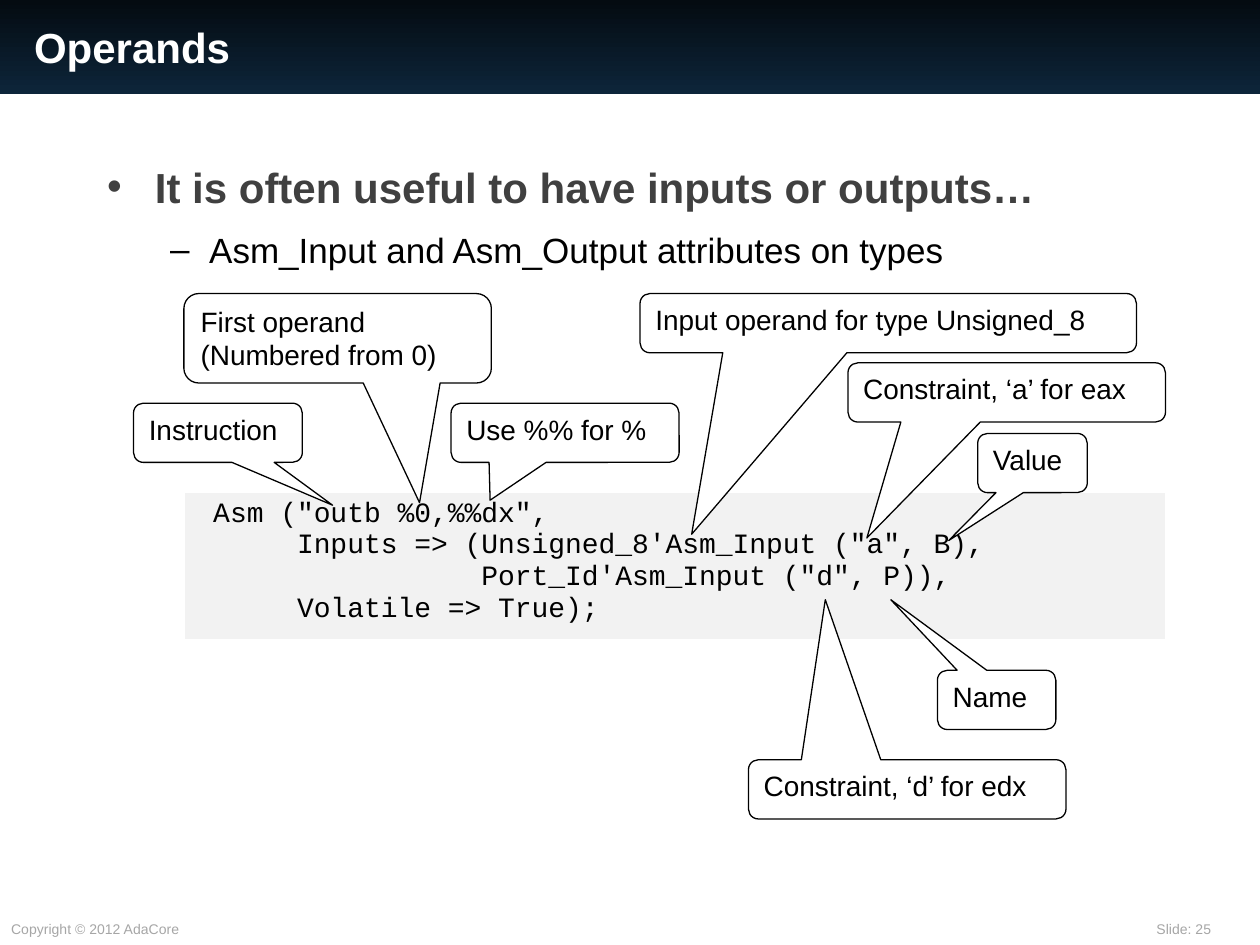
from lxml.etree import SubElement
from pptx import Presentation
from pptx.dml.color import RGBColor
from pptx.enum.shapes import MSO_SHAPE
from pptx.enum.text import MSO_ANCHOR, MSO_AUTO_SIZE, PP_ALIGN
from pptx.oxml import parse_xml
from pptx.oxml.ns import nsdecls, qn
from pptx.util import Inches, Pt

SLIDE_WIDTH, SLIDE_HEIGHT = Inches(10), Inches(7.5)
COLUMN, ROW = SLIDE_WIDTH / 100, SLIDE_HEIGHT / 75

BLACK = RGBColor(0x00, 0x00, 0x00)
WHITE = RGBColor(0xFF, 0xFF, 0xFF)
HEADING_GRAY = RGBColor(0x40, 0x40, 0x40)
FOOTER_GRAY = RGBColor(0xA6, 0xA6, 0xA6)
CODE_GRAY = RGBColor(0xF2, 0xF2, 0xF2)
BAND_TOP = RGBColor(0x04, 0x0B, 0x11)
BAND_BOTTOM = RGBColor(0x0D, 0x25, 0x3A)

BULLETS = [
    ("It is often useful to have inputs or outputs…", 0, "•", 0.38, 0.38, 24, HEADING_GRAY, 0),
    ("Asm_Input and Asm_Output attributes on types", 1, "–", 0.81, 0.31, 20, BLACK, 5),
]
CODE_LINES = [
    ' Asm ("outb %0,%%dx",',
    "      Inputs => (Unsigned_8'Asm_Input (\"a\", B),",
    "                 Port_Id'Asm_Input (\"d\", P)),",
    "      Volatile => True);",
]
CALLOUTS = [
    (["Instruction"], (10.6, 32, 13.4, 4.7), (26.4, 40.1)),
    (["First operand", "(Numbered from 0)"], (14.6, 23.3, 24.4, 7.1), (33.3, 39.9)),
    (["Use %% for %"], (35.8, 32, 18.1, 4.7), (38.9, 39.7)),
    (["Input operand for type Unsigned_8"], (50.8, 23.3, 39.4, 4.7), (54.9, 42.4)),
    (["Constraint, ‘a’ for eax"], (67.3, 28.8, 25.2, 4.7), (68.8, 42.7)),
    (["Value"], (77.6, 34.4, 8.7, 4.7), (75.3, 42.9)),
    (["Constraint, ‘d’ for edx"], (59.4, 60.3, 25.2, 4.7), (65.5, 47.6)),
    (["Name"], (74.4, 53.2, 9.4, 4.7), (70.7, 47.6)),
]


def to_lengths(box):
    left, top, width, height = box
    return round(left * COLUMN), round(top * ROW), round(width * COLUMN), round(height * ROW)


def place(shape, box):
    shape.left, shape.top, shape.width, shape.height = to_lengths(box)


def add_text(paragraph, text, size, color, bold=False, name="Arial"):
    paragraph.alignment = PP_ALIGN.LEFT
    run = paragraph.add_run()
    run.text = text
    run.font.name = name
    run.font.size = Pt(size)
    run.font.bold = bold
    run.font.color.rgb = color


def write_lines(frame, lines, size, color, name="Arial"):
    for index, line in enumerate(lines):
        paragraph = frame.add_paragraph() if index else frame.paragraphs[0]
        add_text(paragraph, line, size, color, name=name)


def build_header(slide, box):
    left, top, width, height = box
    band = slide.shapes.add_shape(MSO_SHAPE.RECTANGLE, *to_lengths(box))
    band.shadow.inherit = False
    band.line.fill.background()
    band.fill.gradient()
    band.fill.gradient_angle = 270
    for stop, position, color in zip(band.fill.gradient_stops, (0, 1), (BAND_TOP, BAND_BOTTOM)):
        stop.position = position
        stop.color.rgb = color
    slide.shapes._spTree.insert(2, band._element)

    title = slide.shapes.title
    place(title, (left + 1.8, top + 0.8, width * 0.87, height - 1.7))
    title.text_frame.vertical_anchor = MSO_ANCHOR.MIDDLE
    title.text_frame.auto_size = MSO_AUTO_SIZE.NONE
    add_text(title.text_frame.paragraphs[0], "Operands", 24, WHITE, bold=True)


def set_bullet(paragraph, symbol, margin, hanging, color):
    properties = paragraph._p.get_or_add_pPr()
    properties.set("marL", str(Inches(margin)))
    properties.set("indent", str(-Inches(hanging)))
    bullet_color = SubElement(properties, qn("a:buClr"))
    SubElement(bullet_color, qn("a:srgbClr"), val=str(color))
    SubElement(properties, qn("a:buFont"), typeface="Arial")
    SubElement(properties, qn("a:buChar"), char=symbol)


def build_body(slide, box):
    body = slide.placeholders[1]
    place(body, box)
    frame = body.text_frame
    frame.auto_size = MSO_AUTO_SIZE.NONE
    for index, (text, level, symbol, margin, hanging, size, color, space) in enumerate(BULLETS):
        paragraph = frame.add_paragraph() if index else frame.paragraphs[0]
        paragraph.level = level
        set_bullet(paragraph, symbol, margin, hanging, color)
        paragraph.line_spacing = 1.2
        paragraph.space_before = Pt(space)
        add_text(paragraph, text, size, color, bold=level == 0)


def set_borders(cell):
    properties = cell._tc.get_or_add_tcPr()
    for index, (side, points) in enumerate([("L", 0.45), ("R", 0.45), ("T", 0.45), ("B", 1.47)]):
        properties.insert(index, parse_xml(
            f'<a:ln{side} {nsdecls("a")} w="{Pt(points)}"><a:solidFill>'
            f'<a:srgbClr val="{WHITE}"/></a:solidFill></a:ln{side}>'))


def build_code(slide, box):
    table = slide.shapes.add_table(1, 1, *to_lengths(box)).table
    table.first_row = False
    table.horz_banding = False
    cell = table.cell(0, 0)
    cell.fill.solid()
    cell.fill.fore_color.rgb = CODE_GRAY
    set_borders(cell)
    write_lines(cell.text_frame, CODE_LINES, 16, BLACK, "Courier New")


def build_callout(slide, lines, box, tip):
    left, top, width, height = box
    callout = slide.shapes.add_shape(MSO_SHAPE.ROUNDED_RECTANGULAR_CALLOUT, *to_lengths(box))
    callout.adjustments[0] = (tip[0] - left) / width - 0.5
    callout.adjustments[1] = (tip[1] - top) / height - 0.5
    callout.shadow.inherit = False
    callout.fill.solid()
    callout.fill.fore_color.rgb = WHITE
    callout.line.color.rgb = BLACK
    callout.line.width = Pt(0.75)
    callout.text_frame.word_wrap = True
    callout.text_frame.vertical_anchor = MSO_ANCHOR.TOP
    write_lines(callout.text_frame, lines, 16, BLACK)


def build_footer(slide, box):
    left, top, width, height = box
    number_width = 9.1
    parts = [
        ("Copyright © 2012 AdaCore", left, 15.7, False),
        ("Slide: 25", left + width - number_width, number_width, True),
    ]
    for text, part_left, part_width, wrap in parts:
        shape = slide.shapes.add_textbox(*to_lengths((part_left, top, part_width, height)))
        shape.text_frame.word_wrap = wrap
        add_text(shape.text_frame.paragraphs[0], text, 8, FOOTER_GRAY)


def main():
    presentation = Presentation()
    presentation.slide_width, presentation.slide_height = SLIDE_WIDTH, SLIDE_HEIGHT
    slide = presentation.slides.add_slide(presentation.slide_layouts[1])
    build_header(slide, (-0.1, 0, 100.1, 7.5))
    build_body(slide, (7.5, 11.5, 85.8, 58.3))
    build_code(slide, (14.6, 39.1, 77.9, 11.7))
    for lines, box, tip in CALLOUTS:
        build_callout(slide, lines, box, tip)
    build_footer(slide, (-0.1, 72.6, 100, 2.4))
    presentation.save("out.pptx")


if __name__ == "__main__":
    main()
